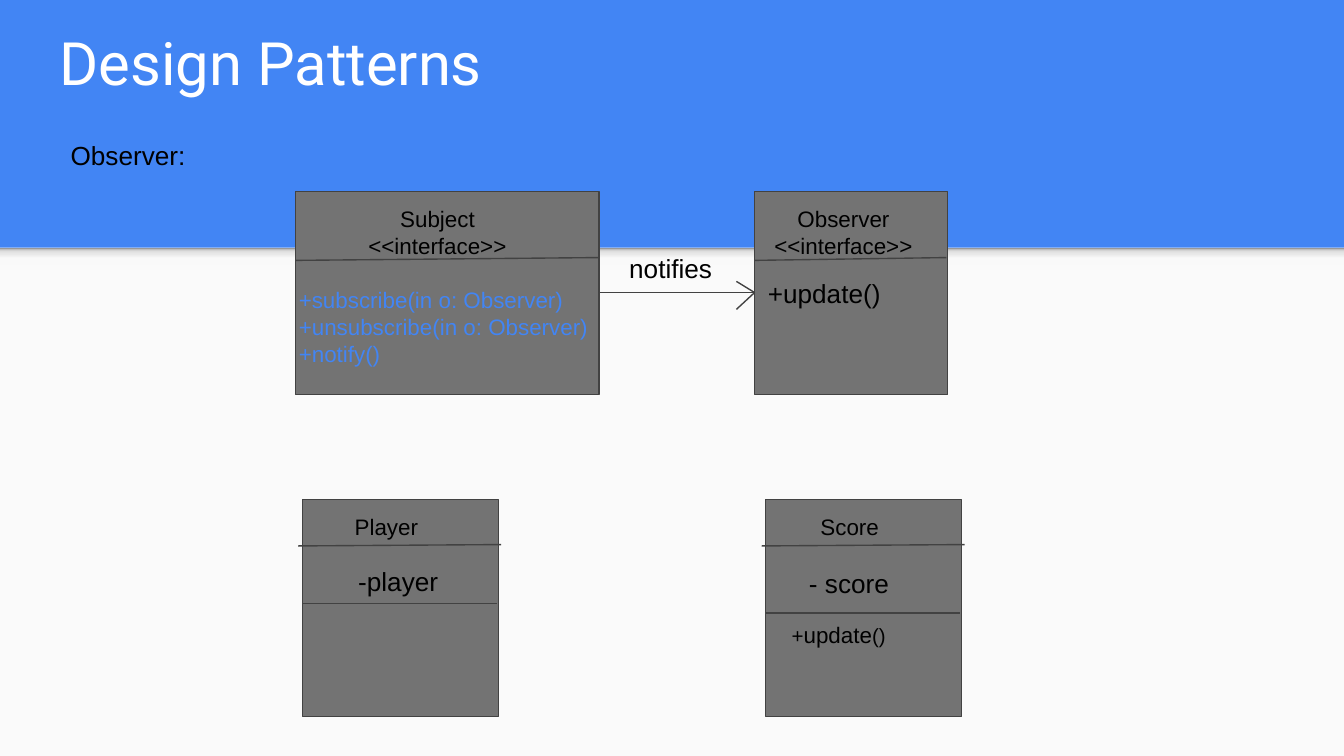
from copy import deepcopy

from pptx import Presentation
from pptx.dml.color import RGBColor
from pptx.enum.shapes import MSO_CONNECTOR, MSO_SHAPE
from pptx.enum.text import MSO_ANCHOR, MSO_AUTO_SIZE, PP_ALIGN
from pptx.oxml.ns import qn
from pptx.oxml.xmlchemy import OxmlElement
from pptx.util import Inches, Pt

PX = 9525
INSET = Inches(0.1)
BLUE = RGBColor(0x42, 0x85, 0xF4)
WHITE = RGBColor(0xFF, 0xFF, 0xFF)
BLACK = RGBColor(0x00, 0x00, 0x00)
PAPER = RGBColor(0xFA, 0xFA, 0xFA)
CLASS_GRAY = RGBColor(0x73, 0x73, 0x73)
OUTLINE = RGBColor(0x42, 0x42, 0x42)
SHADE_STOPS = [
    (0, RGBColor(0xF9, 0xF9, 0xF9)),
    (0.36, RGBColor(0xF9, 0xF9, 0xF9)),
    (0.8, RGBColor(0xDE, 0xDE, 0xDE)),
    (1, RGBColor(0x99, 0x99, 0x99)),
]


def add_rectangle(left, top, width, height):
    shape = page.shapes.add_shape(
        MSO_SHAPE.RECTANGLE, left * PX, top * PX, width * PX, height * PX)
    shape.shadow.inherit = False
    return shape


def write(frame, lines, size, color, align):
    frame.word_wrap = True
    frame.auto_size = MSO_AUTO_SIZE.NONE
    frame.margin_left = frame.margin_right = INSET
    frame.margin_top = frame.margin_bottom = INSET
    for index, line in enumerate(lines):
        para = frame.paragraphs[0] if index == 0 else frame.add_paragraph()
        para.alignment = align
        para.font.name = "Arial"
        para.font.size = Pt(size)
        para.font.color.rgb = color
        para.add_run().text = line


deck = Presentation()
deck.slide_width = 960 * PX
deck.slide_height = 540 * PX
page = deck.slides.add_slide(deck.slide_layouts[5])
page.background.fill.solid()
page.background.fill.fore_color.rgb = BLUE

title = page.shapes.title
title.left, title.top, title.width, title.height = 33 * PX, 18 * PX, 895 * PX, 61 * PX
write(title.text_frame, ["Design Patterns"], 32, WHITE, PP_ALIGN.LEFT)
title.text_frame.vertical_anchor = MSO_ANCHOR.BOTTOM
title.text_frame.paragraphs[0].font.name = "Roboto"

body = add_rectangle(0, 177, 960, 363)
body.fill.solid()
body.fill.fore_color.rgb = PAPER
body.line.fill.background()

shade = add_rectangle(0, 177, 960, 12)
shade.line.fill.background()
shade.fill.gradient()
shade.fill.gradient_angle = 90
stop_list = shade._element.spPr.find(qn("a:gradFill")).find(qn("a:gsLst"))
for _ in range(2):
    stop_list.append(deepcopy(stop_list[0]))
for stop, (position, color) in zip(shade.fill.gradient_stops, SHADE_STOPS):
    stop.position = position
    stop.color.rgb = color

class_boxes = {}
for name, left, top, width, height in [
    ("Player", 216, 357, 140, 155),
    ("Subject", 211, 137, 217, 145),
    ("Score", 547, 357, 140, 155),
    ("Observer", 539, 137, 138, 145),
]:
    box = add_rectangle(left, top, width, height)
    box.fill.solid()
    box.fill.fore_color.rgb = CLASS_GRAY
    box.line.color.rgb = OUTLINE
    box.line.width = Pt(0.75)
    class_boxes[name] = box

observer_frame = class_boxes["Observer"].text_frame
write(observer_frame, ["+update()"], 14, BLACK, PP_ALIGN.LEFT)
observer_frame.vertical_anchor = MSO_ANCHOR.MIDDLE

for start_x, start_y, end_x, end_y in [
    (213, 390, 358, 389),
    (216, 431, 355, 431),
    (544, 390, 689, 389),
    (547, 438, 686, 438),
    (211, 186, 427, 184),
    (539, 186, 676, 184),
    (428, 209, 539, 209),
    (539, 209, 526, 201),
    (539, 209, 526, 221),
]:
    line = page.shapes.add_connector(
        MSO_CONNECTOR.STRAIGHT, start_x * PX, start_y * PX, end_x * PX, end_y * PX)
    line.line.color.rgb = OUTLINE
    line.line.width = Pt(0.75)
    line._element.spPr.append(OxmlElement("a:effectLst"))

labels = {}
for left, top, width, height, lines, size, color, align in [
    (41, 90, 130, 29, ["Observer:"], 14, BLACK, PP_ALIGN.LEFT),
    (226, 357, 100, 38, ["Player"], 12, BLACK, PP_ALIGN.CENTER),
    (557, 357, 100, 38, ["Score"], 12, BLACK, PP_ALIGN.CENTER),
    (244, 137, 137, 40, ["Subject", "<<interface>>"], 12, BLACK, PP_ALIGN.CENTER),
    (534, 137, 137, 40, ["Observer", "<<interface>>"], 12, BLACK, PP_ALIGN.CENTER),
    (204, 195, 235, 61,
     ["+subscribe(in o: Observer)", "+unsubscribe(in o: Observer)", "+notify()"],
     12, BLUE, PP_ALIGN.LEFT),
    (223, 394, 123, 23, ["-player"], 14, BLACK, PP_ALIGN.CENTER),
    (550, 396, 113, 20, ["- score"], 14, BLACK, PP_ALIGN.CENTER),
    (440, 171, 83, 23, ["notifies"], 14, BLACK, PP_ALIGN.LEFT),
    (556, 434, 171, 75, ["+"], 11, BLACK, PP_ALIGN.LEFT),
]:
    label = page.shapes.add_textbox(left * PX, top * PX, width * PX, height * PX)
    write(label.text_frame, lines, size, color, align)
    labels[lines[0]] = label

update_para = labels["+"].text_frame.paragraphs[0]
for text, size in [("update", 12), ("()", 11)]:
    span = update_para.add_run()
    span.text = text
    span.font.size = Pt(size)

deck.save("out.pptx")
